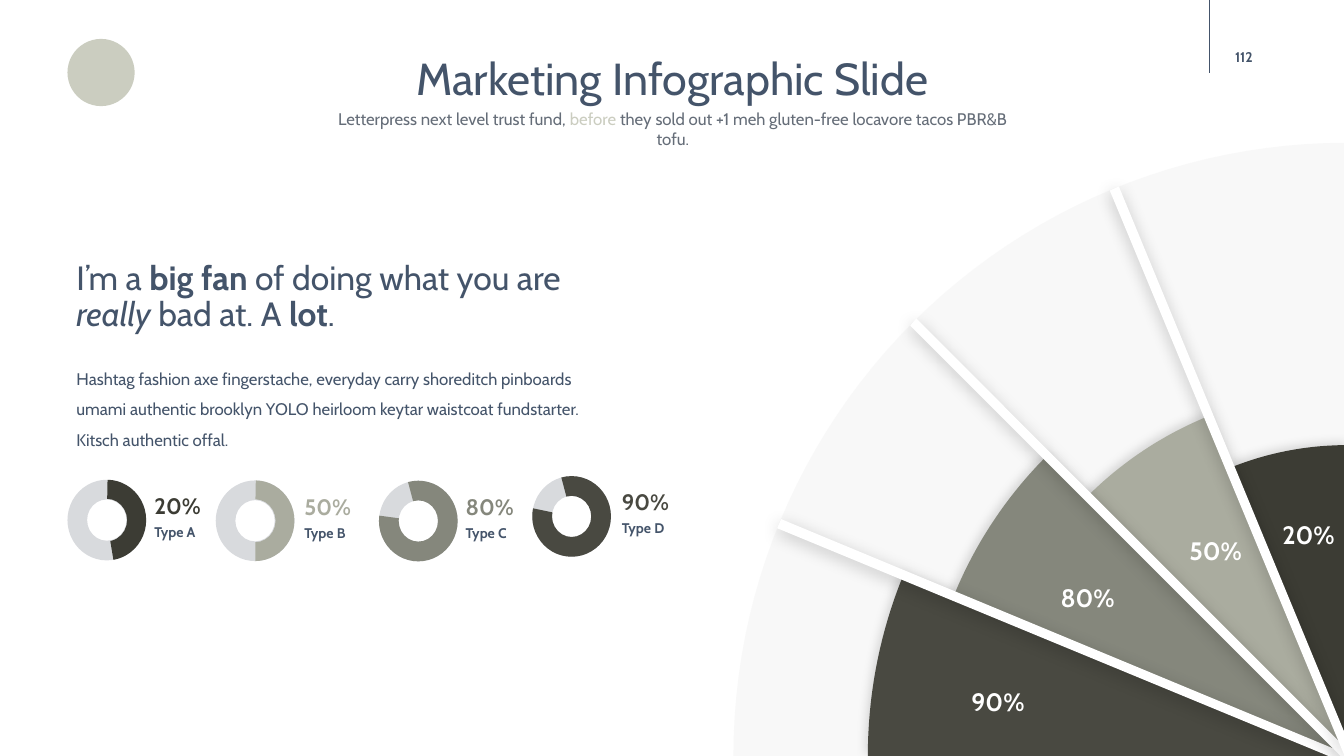
from math import cos, radians, sin

from lxml.etree import SubElement
from pptx import Presentation
from pptx.dml.color import RGBColor
from pptx.enum.shapes import MSO_CONNECTOR as Connector, MSO_SHAPE as Shape
from pptx.enum.text import MSO_ANCHOR as Anchor, PP_ALIGN as Align
from pptx.oxml.ns import qn
from pptx.util import Pt

FONT = "Cabin"
NAVY, GREY, SAGE, WHITE = "44546A", "656D78", "CBCDC0", "FFFFFF"
TRACK, BACKDROP = "D8DADD", "F2F2F2"

PAGE_NUMBER = "112"
TITLE = "Marketing Infographic Slide"
SUBTITLE = [
    ("Letterpress next level trust fund, ", {}),
    ("before", {"color": SAGE}),
    (" they sold out +1 meh gluten-free locavore tacos PBR&B tofu.", {}),
]
HEADLINE = [
    ("I’m a ", {}),
    ("big fan ", {"bold": True}),
    ("of doing what you are ", {}),
    ("really", {"italic": True}),
    (" bad at. A ", {}),
    ("lot", {"bold": True}),
    (".", {}),
]
STORY = ("Hashtag fashion axe fingerstache, everyday carry shoreditch pinboards "
         "umami authentic brooklyn YOLO heirloom keytar waistcoat fundstarter. "
         "Kitsch authentic offal.")

HUB = (961.9, 540)
OUTER_RADIUS = 438
WEDGES = [
    ("90%", "494941", 342, 0, 22.2, (684, 492.5)),
    ("20%", "3C3C34", 222, 68.2, 90.5, (905.8, 373)),
    ("50%", "AAAC9F", 262, 44.7, 68.1, (839.5, 384.5)),
    ("80%", "85877C", 303, 22.1, 45.4, (748.1, 418.3)),
]
SPOKES = [
    [(558, 370.8), (961.9, 538.6), HUB, (949, 540), (555.1, 377.3)],
    [(654.5, 227.5), (961.9, 535), HUB, (957.6, 540), (650.2, 232.6)],
    [(799.2, 133.2), (961.9, 527), HUB, (960.5, 540), (792.7, 136.1)],
]
WEDGE_SHADOW = (13, 7, 3, 225)
SPOKE_SHADOW = (21, 12, 3, 90)

RING_SIZE = (56.2, 57.6)
RINGS = [
    ("90%", "Type D", "494941", (380.2, 340.1), 444.2, (153.136, 115.106, 0.251)),
    ("20%", "Type A", "3C3C34", (48.2, 342.7), 110.2, (162.636, 48.33, 0.242)),
    ("50%", "Type B", "AAAC9F", (154.1, 343.2), 217.4, (162.636, 53.666, 0.239)),
    ("80%", "Type C", "85877C", (270.7, 343.4), 332.6, (153.136, 112.727, 0.25)),
]

deck = Presentation()
deck.slide_width, deck.slide_height = Pt(960), Pt(540)
slide = deck.slides.add_slide(deck.slide_layouts[5])
shapes = slide.shapes


def rgb(value):
    return RGBColor.from_string(value)


def paint(shape, color):
    shape.fill.solid()
    shape.fill.fore_color.rgb = rgb(color)
    shape.line.fill.background()
    shape.shadow.inherit = False
    return shape


def set_alpha(color_element, percent):
    SubElement(color_element, qn("a:alpha"), val=str(percent * 1000))


def cast_shadow(shape, opacity, blur, distance, angle):
    effects = shape._element.spPr.find(qn("a:effectLst"))
    outer = SubElement(effects, qn("a:outerShdw"), blurRad=str(Pt(blur)),
                       dist=str(Pt(distance)), dir=str(angle * 60000),
                       algn="ctr", rotWithShape="0")
    set_alpha(SubElement(outer, qn("a:srgbClr"), val="000000"), opacity)


def write(box, parts, size, color=NAVY, bold=False, align=Align.LEFT,
          spacing=1.0, anchor=Anchor.TOP, inset=(7.2, 3.6)):
    frame = box.text_frame
    frame.word_wrap = True
    frame.vertical_anchor = anchor
    frame.margin_left = frame.margin_right = Pt(inset[0])
    frame.margin_top = frame.margin_bottom = Pt(inset[1])
    paragraph = frame.paragraphs[0]
    paragraph.alignment, paragraph.line_spacing = align, spacing
    for words, style in parts:
        run = paragraph.add_run()
        run.text = words
        font = run.font
        font.name, font.size = FONT, Pt(size)
        font.bold = style.get("bold", bold)
        font.italic = style.get("italic", False)
        font.color.rgb = rgb(style.get("color", color))


def add_text(bounds, parts, size, **options):
    write(shapes.add_textbox(*map(Pt, bounds)), parts, size, **options)


def add_label(bounds, words, size, color, align=Align.LEFT):
    add_text(bounds, [(words, {})], size, color=color, bold=True,
             align=align, spacing=0.9, inset=(0, 0))


def add_outline(points, color):
    corners = [(Pt(x), Pt(y)) for x, y in points]
    builder = shapes.build_freeform(*corners[0])
    builder.add_line_segments(corners[1:], close=True)
    return paint(builder.convert_to_shape(), color)


def sector(radius, start, end, steps=48):
    angles = [radians(start + (end - start) * i / steps) for i in range(steps + 1)]
    return [HUB] + [(HUB[0] - radius * cos(a), HUB[1] - radius * sin(a))
                    for a in angles]


paint(shapes.add_shape(Shape.OVAL, Pt(48.2), Pt(27.8), Pt(48), Pt(48)), SAGE)

page_rule = shapes.add_connector(Connector.STRAIGHT, Pt(864), 0, Pt(864), Pt(52.5))
page_rule.line.color.rgb = rgb(NAVY)
page_rule.line.width = Pt(1)
SubElement(page_rule._element.spPr, qn("a:effectLst"))
add_text((859.7, 26, 57.6, 28.8), [(PAGE_NUMBER, {})], 10, bold=True,
         align=Align.CENTER, anchor=Anchor.MIDDLE, inset=(0, 0))

title = shapes.title
title.left, title.top, title.width, title.height = map(Pt, (182.9, 32.4, 594.7, 46))
write(title, [(TITLE, {})], 32, align=Align.CENTER)
add_text((230.4, 74.2, 500.4, 36), SUBTITLE, 12, color=GREY, align=Align.CENTER)

backdrop = add_outline(sector(OUTER_RADIUS, 0, 90), BACKDROP)
set_alpha(backdrop._element.spPr.find(qn("a:solidFill"))[0], 50)

for share, color, radius, start, end, (left, top) in WEDGES:
    cast_shadow(add_outline(sector(radius, start, end), color), *WEDGE_SHADOW)
    add_label((left, top, 57.6, 20.9), share, 18, WHITE, Align.CENTER)

for spoke in SPOKES:
    cast_shadow(add_outline(spoke, WHITE), *SPOKE_SHADOW)

add_text((47.5, 182.9, 393.1, 59.8), HEADLINE, 24, spacing=0.9)
add_text((47.5, 252.7, 383, 72.7), [(STORY, {})], 12, spacing=1.5)

for share, kind, color, (left, top), label_left, arc in RINGS:
    bounds = [Pt(v) for v in (left, top, *RING_SIZE)]
    paint(shapes.add_shape(Shape.DONUT, *bounds), TRACK)
    share_arc = paint(shapes.add_shape(Shape.BLOCK_ARC, *bounds), color)
    for index, value in enumerate(arc):
        share_arc.adjustments[index] = value
    add_label((label_left, top + 11, 35.3, 20.9), share, 16, color)
    add_label((label_left, top + 32.5, 35.3, 16.6), kind, 10, NAVY)

deck.save("out.pptx")
